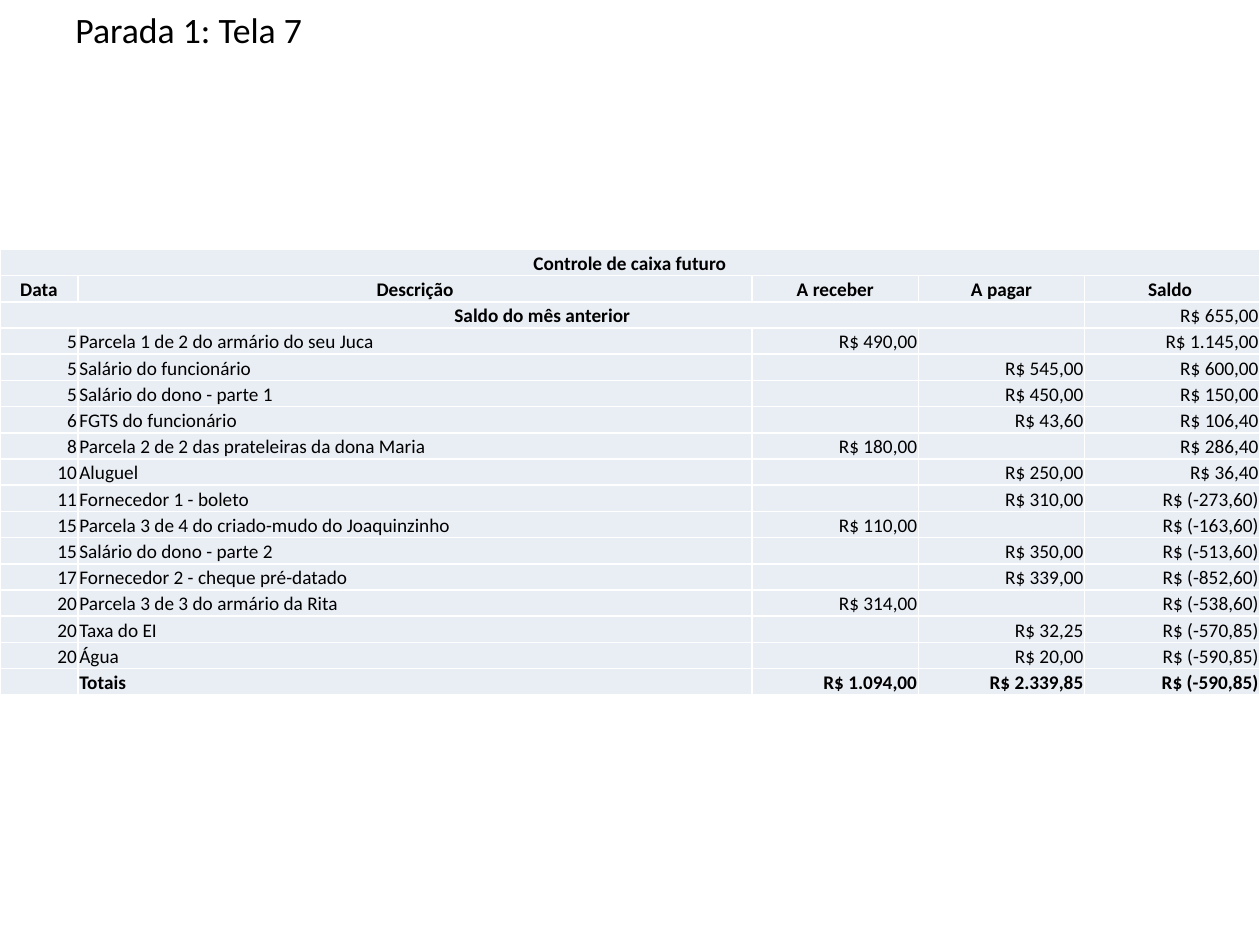
from dataclasses import dataclass
from lxml import etree
from pptx import Presentation
from pptx.dml.color import RGBColor
from pptx.enum.text import MSO_ANCHOR, PP_ALIGN
from pptx.oxml.ns import qn
from pptx.util import Inches, Pt

LEFT, CENTER, RIGHT = PP_ALIGN.LEFT, PP_ALIGN.CENTER, PP_ALIGN.RIGHT
TOP, BOTTOM = MSO_ANCHOR.TOP, MSO_ANCHOR.BOTTOM


@dataclass(frozen=True)
class Theme:
    """Colours, font and type sizes of the slide."""
    font: str = "Calibri"
    ink: str = "000000"
    cell: str = "E9EDF4"
    border: str = "FFFFFF"
    title_size: float = 20.4
    table_size: float = 11
    border_width: float = 1


THEME = Theme()
COL_WIDTHS = [0.62, 5.35, 1.32, 1.32, 1.39]
COL_ALIGNS = [RIGHT, LEFT, RIGHT, RIGHT, RIGHT]
HEADINGS = [
    ("Controle de caixa futuro", "", "", "", ""),
    ("Data", "Descrição", "A receber", "A pagar", "Saldo "),
    ("Saldo do mês anterior", "", "", "", "R$ 655,00"),
]
ENTRIES = [
    ("5", "Parcela 1 de 2 do armário do seu Juca", "R$ 490,00", "", "R$ 1.145,00"),
    ("5", "Salário do funcionário ", "", "R$ 545,00", "R$ 600,00"),
    ("5", "Salário do dono - parte 1", "", "R$ 450,00", "R$ 150,00"),
    ("6", "FGTS do funcionário", "", "R$ 43,60", "R$ 106,40"),
    ("8", "Parcela 2 de 2 das prateleiras da dona Maria", "R$ 180,00", "", "R$ 286,40"),
    ("10", "Aluguel", "", "R$ 250,00", "R$ 36,40"),
    ("11", "Fornecedor 1 - boleto", "", "R$ 310,00", "R$ (-273,60)"),
    ("15", "Parcela 3 de 4 do criado-mudo do Joaquinzinho", "R$ 110,00", "", "R$ (-163,60)"),
    ("15", "Salário do dono - parte 2", "", "R$ 350,00", "R$ (-513,60)"),
    ("17", "Fornecedor 2 - cheque pré-datado", "", "R$ 339,00", "R$ (-852,60)"),
    ("20", "Parcela 3 de 3 do armário da Rita", "R$ 314,00", "", "R$ (-538,60)"),
    ("20", "Taxa do EI", "", "R$ 32,25", "R$ (-570,85)"),
    ("20", "Água", "", "R$ 20,00", "R$ (-590,85)"),
]
TOTALS = ("", "Totais", "R$ 1.094,00", "R$ 2.339,85", "R$ (-590,85)")


def add_run(p, text, size, bold=False):
    """Add one styled run to a paragraph."""
    r = p.add_run()
    r.text = text
    r.font.name = THEME.font
    r.font.size = Pt(size)
    r.font.bold = bold
    r.font.color.rgb = RGBColor.from_string(THEME.ink)


def add_title(s, x, y, w, h):
    """Place the slide title in the given box."""
    tf = s.shapes.add_textbox(Inches(x), Inches(y), Inches(w), Inches(h)).text_frame
    tf.word_wrap = True
    tf.vertical_anchor = TOP
    add_run(tf.paragraphs[0], "Parada 1: Tela 7", THEME.title_size)


def set_borders(cell):
    """Draw the four edges of a table cell."""
    tc_pr = cell._tc.get_or_add_tcPr()
    for edge in ("a:lnL", "a:lnR", "a:lnT", "a:lnB"):
        ln = etree.SubElement(tc_pr, qn(edge), w=str(Pt(THEME.border_width)))
        fill = etree.SubElement(ln, qn("a:solidFill"))
        etree.SubElement(fill, qn("a:srgbClr"), val=THEME.border)


def fill_cell(cell, text, align, bold):
    """Style a table cell and write its text."""
    set_borders(cell)
    cell.fill.solid()
    cell.fill.fore_color.rgb = RGBColor.from_string(THEME.cell)
    cell.vertical_anchor = BOTTOM
    cell.margin_left = cell.margin_right = cell.margin_top = Inches(0.01)
    cell.margin_bottom = 0
    p = cell.text_frame.paragraphs[0]
    p.alignment = align
    if text:
        add_run(p, text, THEME.table_size, bold)
    else:
        etree.SubElement(p._p, qn("a:endParaRPr"), sz=str(THEME.table_size * 100))


def add_cash_table(s, x, y, w, h):
    """Place the cash control table in the given box."""
    rows = [*HEADINGS, *ENTRIES, TOTALS]
    frame = s.shapes.add_table(len(rows), len(COL_WIDTHS), Inches(x), Inches(y), Inches(w), Inches(h))
    table = frame.table
    table.first_row = table.horz_banding = False
    for col, width in zip(table.columns, COL_WIDTHS):
        col.width = Inches(w * width / sum(COL_WIDTHS))
    for i, values in enumerate(rows):
        table.rows[i].height = Inches(h / len(rows))
        heading = i < len(HEADINGS)
        for j, text in enumerate(values):
            amount = heading and text.startswith("R$")
            align = CENTER if heading and not amount else COL_ALIGNS[j]
            bold = (heading and not amount) or values is TOTALS
            fill_cell(table.cell(i, j), text, align, bold)
    table.cell(0, 0).merge(table.cell(0, 4))
    table.cell(2, 0).merge(table.cell(2, 3))


def build():
    """Build and save the presentation."""
    prs = Presentation()
    prs.slide_width, prs.slide_height = Inches(10), Inches(7.5)
    s = prs.slides.add_slide(prs.slide_layouts[6])
    add_title(s, 0.5, 0.01, 9, 0.38)
    add_cash_table(s, 0, 1.98, 10, 3.54)
    prs.save("out.pptx")


build()
